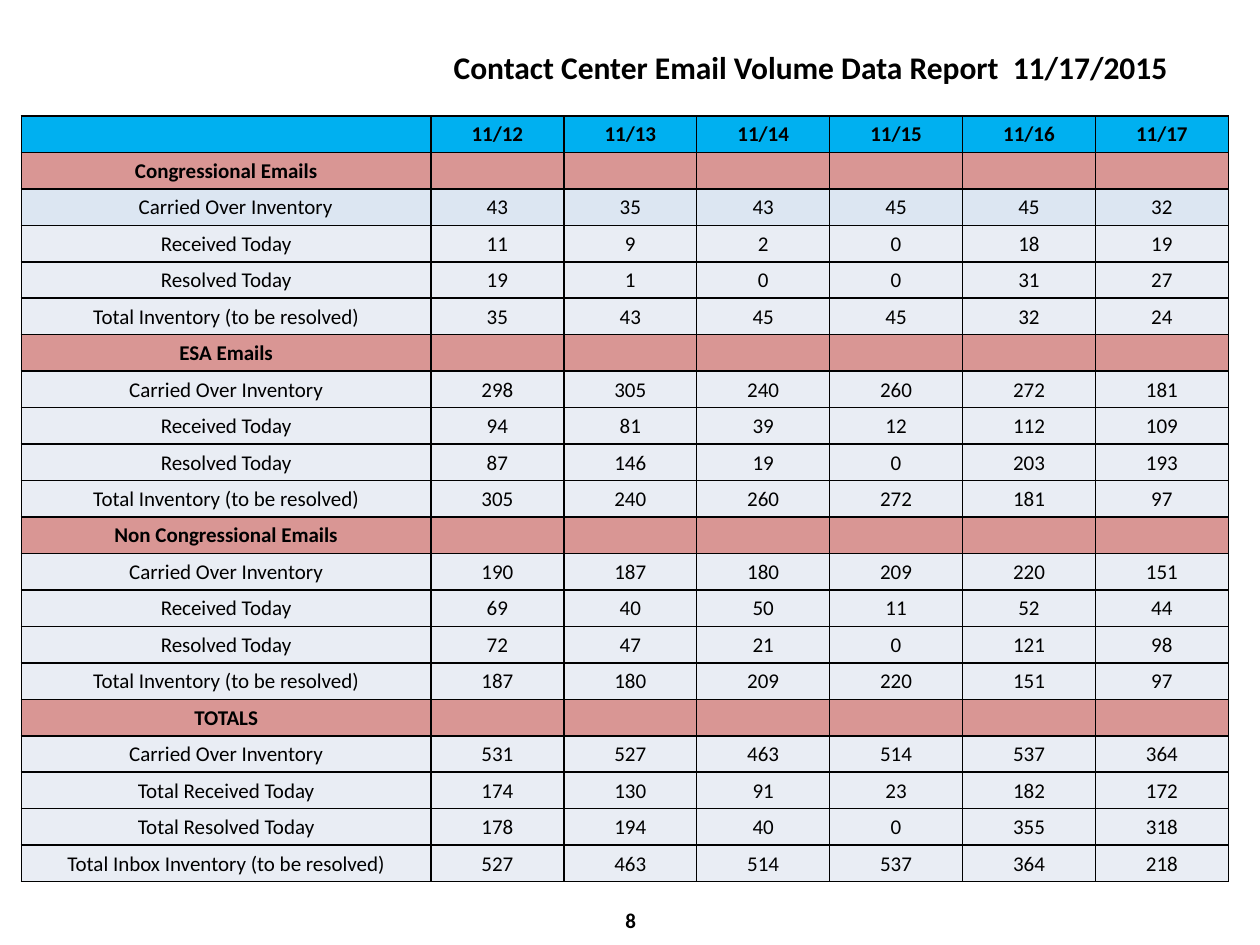
from dataclasses import dataclass

from lxml import etree
from pptx import Presentation
from pptx import util as u
from pptx.dml.color import RGBColor
from pptx.enum import text
from pptx.oxml import ns


@dataclass(frozen=True)
class Theme:
    """Colours, font and type sizes of the report."""
    ink: str = "000000"
    header: str = "00B0F0"
    section: str = "D99694"
    first_row: str = "DCE6F2"
    body: str = "E9EDF4"
    font: str = "Calibri"
    title_size: int = 18
    body_size: int = 12


theme = Theme()


def write(paragraph, words, size, bold, align):
    """Put one formatted run into a paragraph."""
    paragraph.alignment = align
    run = paragraph.add_run()
    run.text = words
    style = {"name": theme.font, "size": u.Pt(size), "bold": bold}
    for key, value in style.items():
        setattr(run.font, key, value)
    run.font.color.rgb = RGBColor.from_string(theme.ink)


def add_borders(cell):
    """Draw a thin line on all four sides of a table cell."""
    properties = cell._tc.get_or_add_tcPr()
    for position, side in enumerate(("lnL", "lnR", "lnT", "lnB")):
        line = etree.Element(ns.qn(f"a:{side}"), w=str(u.Pt(1)))
        fill = etree.SubElement(line, ns.qn("a:solidFill"))
        etree.SubElement(fill, ns.qn("a:srgbClr"), val=theme.ink)
        properties.insert(position, line)


dates = ["11/12", "11/13", "11/14", "11/15", "11/16", "11/17"]
measures = ["Carried Over Inventory", "Received Today", "Resolved Today",
            "Total Inventory (to be resolved)"]
total_measures = ["Carried Over Inventory", "Total Received Today",
                  "Total Resolved Today",
                  "Total Inbox Inventory (to be resolved)"]
sections = [
    ("Congressional Emails", measures, [
        [43, 35, 43, 45, 45, 32],
        [11, 9, 2, 0, 18, 19],
        [19, 1, 0, 0, 31, 27],
        [35, 43, 45, 45, 32, 24]]),
    ("ESA Emails", measures, [
        [298, 305, 240, 260, 272, 181],
        [94, 81, 39, 12, 112, 109],
        [87, 146, 19, 0, 203, 193],
        [305, 240, 260, 272, 181, 97]]),
    ("Non Congressional Emails", measures, [
        [190, 187, 180, 209, 220, 151],
        [69, 40, 50, 11, 52, 44],
        [72, 47, 21, 0, 121, 98],
        [187, 180, 209, 220, 151, 97]]),
    ("TOTALS", total_measures, [
        [531, 527, 463, 514, 537, 364],
        [174, 130, 91, 23, 182, 172],
        [178, 194, 40, 0, 355, 318],
        [527, 463, 514, 537, 364, 218]]),
]

# Each row: words, fill colour, bold
rows = [(["", *dates], theme.header, True)]
for heading, labels, counts in sections:
    rows.append(([heading] + [""] * len(dates), theme.section, True))
    for label, values in zip(labels, counts):
        rows.append(([label, *map(str, values)], theme.body, False))
first_data_row = 2
rows[first_data_row] = (rows[first_data_row][0], theme.first_row, False)

report = Presentation()
report.slide_width, report.slide_height = u.Inches(10), u.Inches(7.5)
slide = report.slides.add_slide(report.slide_layouts[5])

title = slide.shapes.title
title_place = {"left": 3.5, "top": 0.33, "width": 6.42, "height": 0.4}
for key, value in title_place.items():
    setattr(title, key, u.Inches(value))
title_format = {"word_wrap": True, "vertical_anchor": text.MSO_ANCHOR.TOP,
                "auto_size": text.MSO_AUTO_SIZE.SHAPE_TO_FIT_TEXT}
for key, value in title_format.items():
    setattr(title.text_frame, key, value)
write(title.text_frame.paragraphs[0],
      "Contact Center Email Volume Data Report  11/17/2015",
      theme.title_size, True, text.PP_ALIGN.LEFT)

# Email volumes by day
label_width, table_width, table_height = 3.25, 9.58, 6.08
volumes = slide.shapes.add_table(
    len(rows), len(dates) + 1, u.Inches(0.17), u.Inches(0.92),
    u.Inches(table_width), u.Inches(table_height)).table
volumes.first_row = volumes.horz_banding = False
date_width = (table_width - label_width) / len(dates)
for index, column in enumerate(volumes.columns):
    column.width = u.Inches(date_width if index else label_width)

cell_format = {"margin_left": u.Inches(0.01), "margin_right": u.Inches(0.01),
               "margin_top": u.Inches(0.01), "margin_bottom": 0,
               "vertical_anchor": text.MSO_ANCHOR.MIDDLE}
for row_index, (row_words, colour, bold) in enumerate(rows):
    volumes.rows[row_index].height = u.Inches(table_height / len(rows))
    for column_index, words in enumerate(row_words):
        cell = volumes.cell(row_index, column_index)
        for key, value in cell_format.items():
            setattr(cell, key, value)
        cell.fill.solid()
        cell.fill.fore_color.rgb = RGBColor.from_string(colour)
        add_borders(cell)
        paragraph = cell.text_frame.paragraphs[0]
        if words:
            write(paragraph, words, theme.body_size, bold,
                  text.PP_ALIGN.CENTER)
        else:
            # Keeps empty cells from stretching the row
            etree.SubElement(paragraph._p, ns.qn("a:endParaRPr"),
                             sz=str(theme.body_size * 100))

indented = volumes.cell(first_data_row, 0).text_frame.paragraphs[0]
indented._p.get_or_add_pPr().set("marL", str(u.Inches(0.15)))

page_number = slide.shapes.add_textbox(
    u.Inches(3.42), u.Inches(7.1), u.Inches(3.17), u.Inches(0.4)).text_frame
page_number.word_wrap = True
page_number.vertical_anchor = text.MSO_ANCHOR.MIDDLE
write(page_number.paragraphs[0], "8", theme.body_size, True,
      text.PP_ALIGN.CENTER)

report.save("out.pptx")
